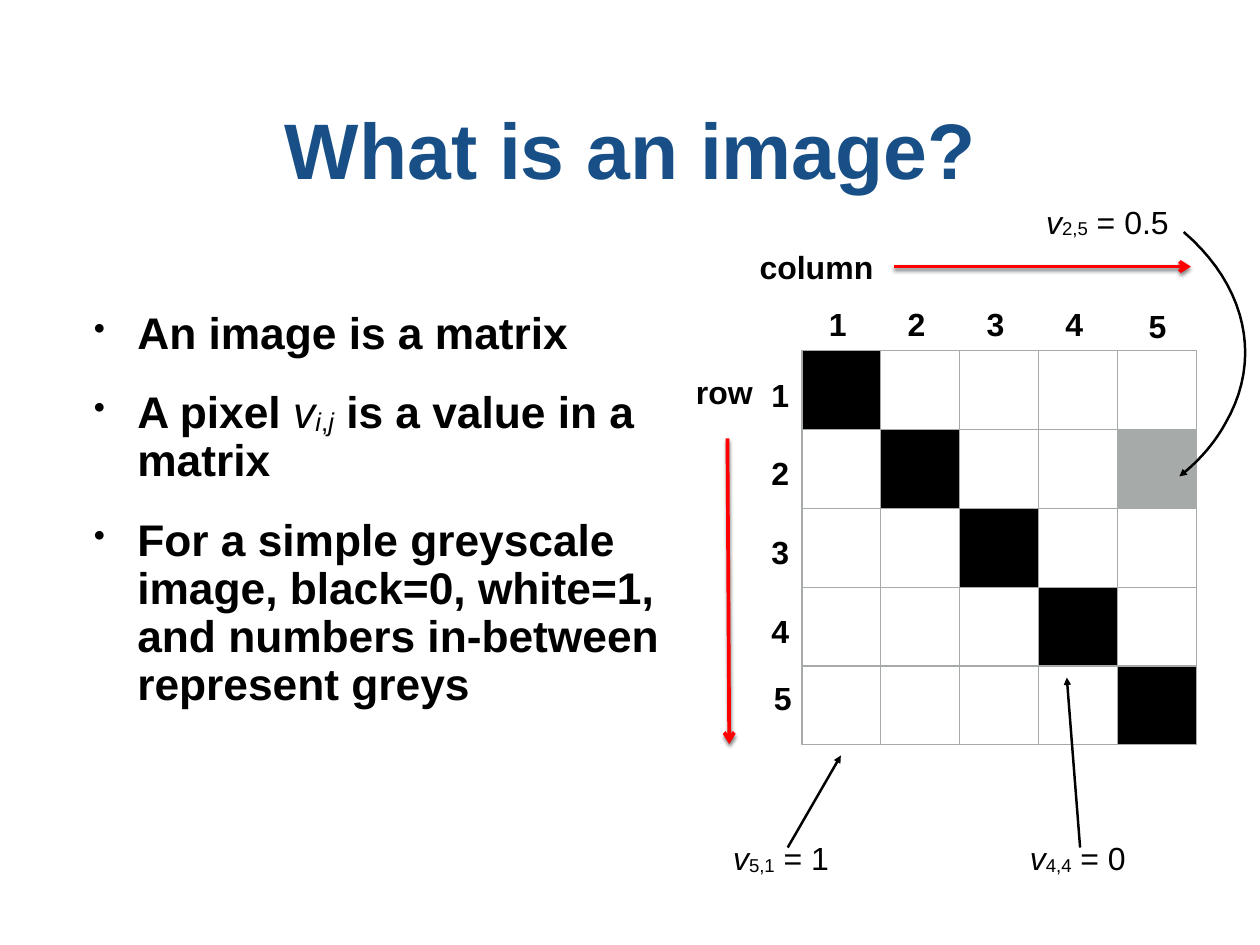
"""Build the slide that explains an image as a matrix of pixel values."""
from dataclasses import dataclass

from lxml.etree import SubElement
from pptx import Presentation
from pptx.dml.color import RGBColor
from pptx.enum.shapes import MSO_CONNECTOR, MSO_SHAPE
from pptx.enum.text import MSO_ANCHOR, PP_ALIGN
from pptx.oxml.ns import qn
from pptx.util import Inches, Pt


@dataclass(frozen=True)
class Theme:
    font: str = "Arial"
    title: RGBColor = RGBColor(0x17, 0x4F, 0x86)
    black: RGBColor = RGBColor(0, 0, 0)
    white: RGBColor = RGBColor(255, 255, 255)
    grey: RGBColor = RGBColor(0xA6, 0xAA, 0xA9)
    red: RGBColor = RGBColor(255, 0, 0)
    title_size: int = 64
    body_size: int = 36
    label_size: int = 26


theme = Theme()
presentation = Presentation()
presentation.slide_width = Inches(14.22)
presentation.slide_height = Inches(10.67)
slide = presentation.slides.add_slide(presentation.slide_layouts[6])


def add_text(box, paragraphs, size, colour=theme.black, anchor=MSO_ANCHOR.MIDDLE,
             wrap=False, bullets=False, insets=(0.06, 0.06)):
    """Add a text box; run styles are b bold, i italic and s subscript."""
    frame = slide.shapes.add_textbox(*map(Inches, box)).text_frame
    frame.word_wrap = wrap
    frame.vertical_anchor = anchor
    frame.margin_left = frame.margin_right = Inches(insets[0])
    frame.margin_top = frame.margin_bottom = Inches(insets[1])
    for index, runs in enumerate(paragraphs):
        paragraph = frame.add_paragraph() if index else frame.paragraphs[0]
        paragraph.line_spacing = 1.0 if size == theme.title_size else 0.9
        paragraph.alignment = PP_ALIGN.LEFT if bullets else PP_ALIGN.CENTER
        if bullets:
            paragraph.space_before = Pt(26 if index else 0)
            properties = paragraph._p.get_or_add_pPr()
            properties.set("marL", str(Inches(0.49)))
            properties.set("indent", str(-Inches(0.49)))
            SubElement(properties, qn("a:buSzPct"), val="75000")
            SubElement(properties, qn("a:buChar"), char="•")
        for text, style in runs:
            run = paragraph.add_run()
            run.text = text
            run.font.name = theme.font
            run.font.size = Pt(size)
            run.font.color.rgb = colour
            run.font.bold = "b" in style
            run.font.italic = "i" in style
            if "s" in style:
                run.font._element.set("baseline", "-6000")


def style_arrow(shape, colour, width, head, shadow=False):
    """Give a line its colour, width, arrowhead and optional soft shadow."""
    shape.line.color.rgb = colour
    shape.line.width = Pt(width)
    SubElement(shape.line._get_or_add_ln(), qn("a:tailEnd"), type=head)
    effects = SubElement(shape._element.spPr, qn("a:effectLst"))
    if shadow:
        outer = SubElement(effects, qn("a:outerShdw"), blurRad=str(Pt(3)),
                           dist=str(Pt(2)), dir="5400000", rotWithShape="0")
        shade = SubElement(outer, qn("a:srgbClr"), val=str(theme.black))
        SubElement(shade, qn("a:alpha"), val="50000")


add_text((0.48, 0.49, 13.27, 2.36), [[("What is an image?", "b")]],
         theme.title_size, theme.title, wrap=True)
body = [
    [("An image is a matrix", "b")],
    [("A pixel ", "b"), ("v", "i"), ("i", "is"), (",", "s"), ("j", "is"),
     (" is a value in a matrix", "b")],
    [("For a simple greyscale image, black=0, white=1, "
      "and numbers in-between represent greys", "b")],
]
add_text((1, 3.45, 6.8, 5.46), body, theme.body_size,
         anchor=MSO_ANCHOR.TOP, wrap=True, bullets=True)

cell = 0.89
grid_left, grid_top = 9.05, 3.96
for row in range(5):
    for column in range(5):
        pixel = slide.shapes.add_shape(
            MSO_SHAPE.RECTANGLE, Inches(grid_left + column * cell),
            Inches(grid_top + row * cell), Inches(cell), Inches(cell))
        pixel.shadow.inherit = False
        pixel.fill.solid()
        if row == column:
            pixel.fill.fore_color.rgb = theme.black
        elif (row, column) == (1, 4):
            pixel.fill.fore_color.rgb = theme.grey
        else:
            pixel.fill.fore_color.rgb = theme.white
        pixel.line.color.rgb = theme.grey
        pixel.line.width = Pt(1)

column_labels = [(9.29 + index * cell, 3.41) for index in range(4)] + [(12.9, 3.43)]
row_labels = [(8.64, 4.21 + index * cell) for index in range(4)] + [(8.67, 7.64)]
for positions in (column_labels, row_labels):
    for number, (left, top) in enumerate(positions, 1):
        add_text((left, top, 0.33, 0.54), [[(str(number), "b")]], theme.label_size)

for index, value, box in (
    ("4,4", " = 0", (11.54, 9.44, 1.25, 0.54)),
    ("5,1", " = 1", (8.19, 9.46, 1.25, 0.51)),
    ("2,5", " = 0.5", (11.72, 2.27, 1.56, 0.51)),
):
    add_text(box, [[("v", "i"), (index, "s"), (value, "")]], theme.label_size)

for word, box in (("row", (7.63, 4.21, 1.09, 0.49)), ("column", (8.15, 2.79, 2.13, 0.49))):
    add_text(box, [[(word, "b")]], theme.label_size, anchor=MSO_ANCHOR.TOP,
             wrap=True, insets=(0.1, 0.05))

for ends, colour, width, head, shadow in (
    ((12.19, 9.57, 12.04, 7.65), theme.black, 2, "triangle", False),
    ((8.89, 9.57, 9.49, 8.53), theme.black, 2, "triangle", False),
    ((8.21, 4.95, 8.23, 8.4), theme.red, 3, "arrow", True),
    ((10.09, 3.01, 13.44, 3.01), theme.red, 3, "arrow", True),
):
    arrow = slide.shapes.add_connector(MSO_CONNECTOR.STRAIGHT, *map(Inches, ends))
    style_arrow(arrow, colour, width, head, shadow)

curves = (
    ((13.36, 2.62), (14.07, 3.23), (14.25, 4.06), (13.83, 4.78)),
    ((13.83, 4.78), (13.71, 5), (13.53, 5.21), (13.31, 5.38)),
)
steps = 20
curve_points = []
for curve in curves:
    for step in range(1, steps + 1):
        t = step / steps
        weights = ((1 - t) ** 3, 3 * t * (1 - t) ** 2, 3 * t ** 2 * (1 - t), t ** 3)
        curve_points.append(tuple(
            Inches(sum(weight * point[axis] for weight, point in zip(weights, curve)))
            for axis in (0, 1)))
builder = slide.shapes.build_freeform(*map(Inches, curves[0][0]))
builder.add_line_segments(curve_points, close=False)
curved_arrow = builder.convert_to_shape()
curved_arrow.fill.background()
style_arrow(curved_arrow, theme.black, 2, "triangle")

presentation.save("out.pptx")
